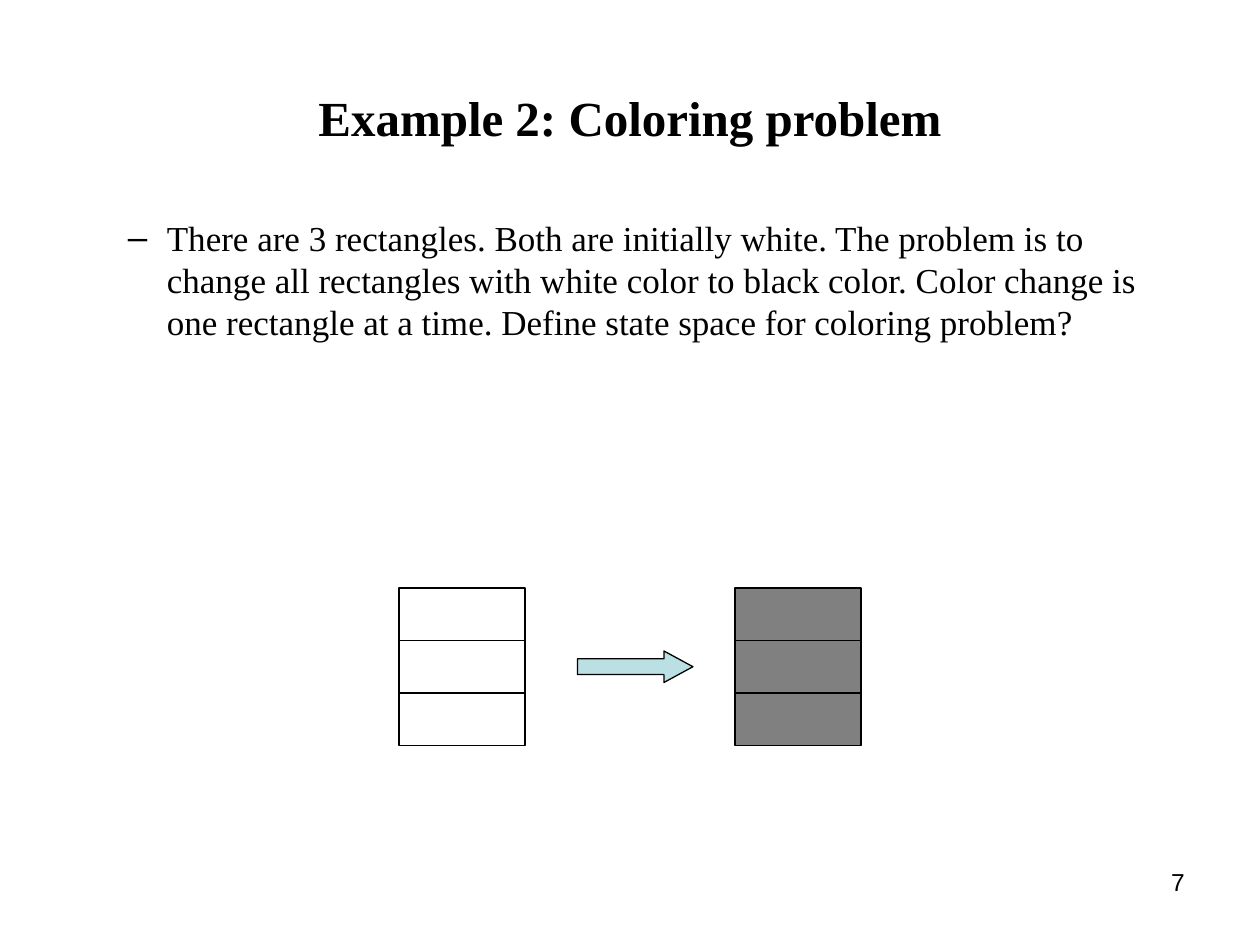
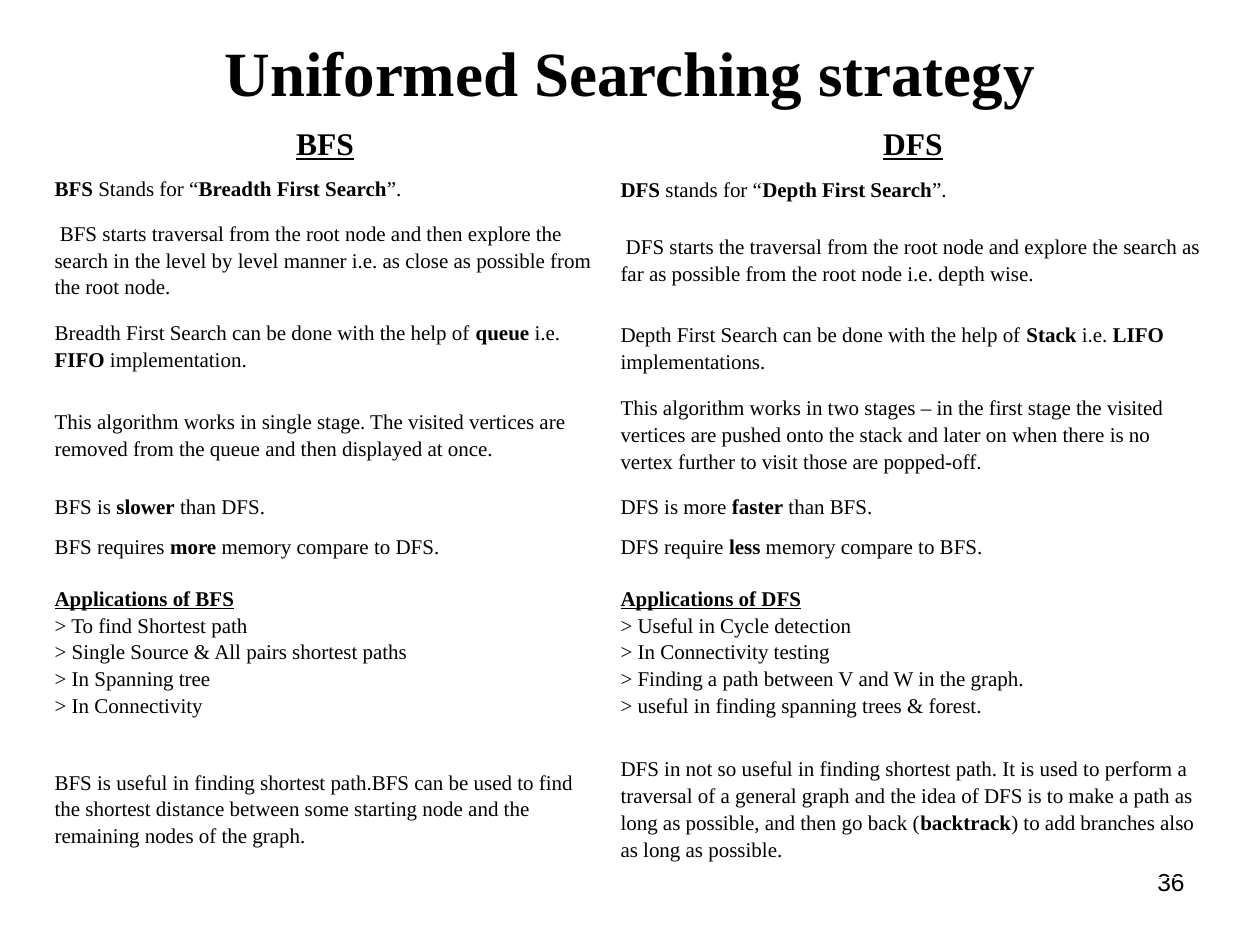
from dataclasses import dataclass

from pptx import Presentation
from pptx.dml.color import RGBColor
from pptx.enum.shapes import MSO_SHAPE as Shape
from pptx.enum.text import MSO_ANCHOR as Anchor, PP_ALIGN as Align
from pptx.oxml.ns import qn
from pptx.util import Inches, Pt


@dataclass(frozen=True)
class Theme:
    ink: RGBColor = RGBColor(0, 0, 0)
    gray: RGBColor = RGBColor(0x80, 0x80, 0x80)
    teal: RGBColor = RGBColor(0xBB, 0xE0, 0xE3)
    serif: str = "Times New Roman"
    sans: str = "Arial"
    outline: float = 0.75
    body: int = 20
    heading: int = 18
    cell: int = 12
    number: int = 14


theme = Theme()


def grid(*steps):
    """Lengths on a grid of 120 columns by 90 rows."""
    return [Inches(step / 12) for step in steps]


def write(frame, text, size, font=theme.serif, align=Align.LEFT,
          anchor=Anchor.TOP, spacing=None, after=None):
    """Fill a frame; *text* is bold, *_text* is bold and underlined."""
    frame.word_wrap = True
    frame.vertical_anchor = anchor
    para = frame.paragraphs[0]
    para.alignment = align
    para.line_spacing = spacing
    para.space_after = after
    for line_index, line in enumerate(text.split("\n")):
        if line_index:
            para.add_line_break()
        for part_index, part in enumerate(line.split("*")):
            if not part:
                continue
            span = para.add_run()
            span.text = part.removeprefix("_")
            span.font.name = font
            span.font.size = Pt(size)
            span.font.color.rgb = theme.ink
            span.font.bold = part_index % 2 == 1
            span.font.underline = part.startswith("_")
    return para


deck = Presentation()
deck.slide_width, deck.slide_height = grid(120, 90)

# Shared title and page number
pages = []
for title, title_size, title_rows, number in (
    ("Example 2: Coloring problem", 28, 15, "7"),
    ("Uniformed Searching strategy", 36, 6.4, "36"),
):
    page = deck.slides.add_slide(deck.slide_layouts[6])
    title_box = page.shapes.add_textbox(*grid(6, 3.6, 108, title_rows))
    write(title_box.text_frame, f"*{title}*", title_size,
          align=Align.CENTER, anchor=Anchor.MIDDLE)
    number_box = page.shapes.add_textbox(*grid(86, 82, 28, 6.2))
    write(number_box.text_frame, number, theme.number, font=theme.sans,
          align=Align.RIGHT)
    pages.append(page)
coloring_page, search_page = pages

# Coloring problem: statement with a dash bullet
statement_box = coloring_page.shapes.add_textbox(*grid(5, 20, 108, 25))
statement = write(
    statement_box.text_frame,
    "There are 3 rectangles. Both are initially white. The problem is to "
    "change all rectangles with white color to black color. Color change is "
    "one rectangle at a time. Define state space for coloring problem?",
    theme.body)
properties = statement._p.get_or_add_pPr()
properties.set("marL", str(Inches(0.81)))
properties.set("indent", str(Inches(-0.31)))
bullet_font = properties.makeelement(qn("a:buFont"), {"typeface": theme.sans})
bullet = properties.makeelement(qn("a:buChar"), {"char": "–"})
properties.extend([bullet_font, bullet])

# Coloring problem: white stack, arrow, gray stack
pieces = [(Shape.RECTANGLE, (left, 56 + 5 * row, 12, 5), fill)
          for left, fill in ((38, None), (70, theme.gray))
          for row in range(3)]
pieces.append((Shape.RIGHT_ARROW, (55, 62, 11, 3), theme.teal))
for kind, place, fill in pieces:
    piece = coloring_page.shapes.add_shape(kind, *grid(*place))
    piece.shadow.inherit = False
    piece.line.color.rgb = theme.ink
    piece.line.width = Pt(theme.outline)
    if fill is None:
        piece.fill.background()
    else:
        piece.fill.solid()
        piece.fill.fore_color.rgb = fill
    if kind == Shape.RIGHT_ARROW:
        piece.adjustments[0] = 0.5
        piece.adjustments[1] = 0.92

# Search strategies: row height, BFS text, DFS text
comparison = [
    (4.9, "*_BFS*", "*_DFS*"),
    (3.2, "*BFS* Stands for “*Breadth First Search*”.",
     "*DFS* stands for “*Depth First Search*”."),
    (10, " BFS starts traversal from the root node and then explore the "
     "search in the level by level manner i.e. as close as possible from "
     "the root node.",
     " DFS starts the traversal from the root node and explore the search "
     "as far as possible from the root node i.e. depth wise."),
    (6.6, "Breadth First Search can be done with the help of *queue* i.e. "
     "*FIFO* implementation.",
     "Depth First Search can be done with the help of *Stack* i.e. "
     "*LIFO* implementations."),
    (9.8, "This algorithm works in single stage. The visited vertices are "
     "removed from the queue and then displayed at once.",
     "This algorithm works in two stages – in the first stage the visited "
     "vertices are pushed onto the stack and later on when there is no "
     "vertex further to visit those are popped-off."),
    (3.4, "BFS is *slower* than DFS.", "DFS is more *faster* than BFS."),
    (3.2, "BFS requires *more* memory compare to DFS.",
     "DFS require *less* memory compare to BFS."),
    (16.7, "*_Applications of BFS*\n> To find Shortest path\n"
     "> Single Source & All pairs shortest paths\n> In Spanning tree\n"
     "> In Connectivity",
     "*_Applications of DFS*\n> Useful in Cycle detection\n"
     "> In Connectivity testing\n"
     "> Finding a path between V and W in the graph.\n"
     "> useful in finding spanning trees & forest."),
    (13.2, "BFS is useful in finding shortest path.BFS can be used to find "
     "the shortest distance between some starting node and the remaining "
     "nodes of the graph.",
     "DFS in not so useful in finding shortest path. It is used to perform "
     "a traversal of a general graph and the idea of DFS is to make a path "
     "as long as possible, and then go back (*backtrack*) to add branches "
     "also as long as possible."),
]
top_anchored = {(0, 0), (0, 1), (1, 0), (3, 0)}
# Rows of one line sit tighter than the default bottom margin
bottom_margins = {0: 0.02, 1: 0.03, 5: 0.03, 6: 0.03}

# Search strategies: plain table
table = search_page.shapes.add_table(
    len(comparison), 2, *grid(4, 11, 112, 71)).table
table.first_row = table.horz_banding = False
for column, width in zip(table.columns, grid(53.9, 58.1)):
    column.width = width
for row, (height, *texts) in enumerate(comparison):
    table.rows[row].height = grid(height)[0]
    is_heading = row == 0
    for column, text in enumerate(texts):
        cell = table.cell(row, column)
        cell.fill.background()
        cell.margin_bottom = Inches(bottom_margins.get(row, 0.05))
        write(cell.text_frame, text,
              theme.heading if is_heading else theme.cell,
              align=Align.CENTER if is_heading else Align.LEFT,
              spacing=1.15, after=Pt(10) if is_heading else None)
        cell.vertical_anchor = (
            Anchor.TOP if (row, column) in top_anchored else Anchor.MIDDLE)

deck.save("out.pptx")
